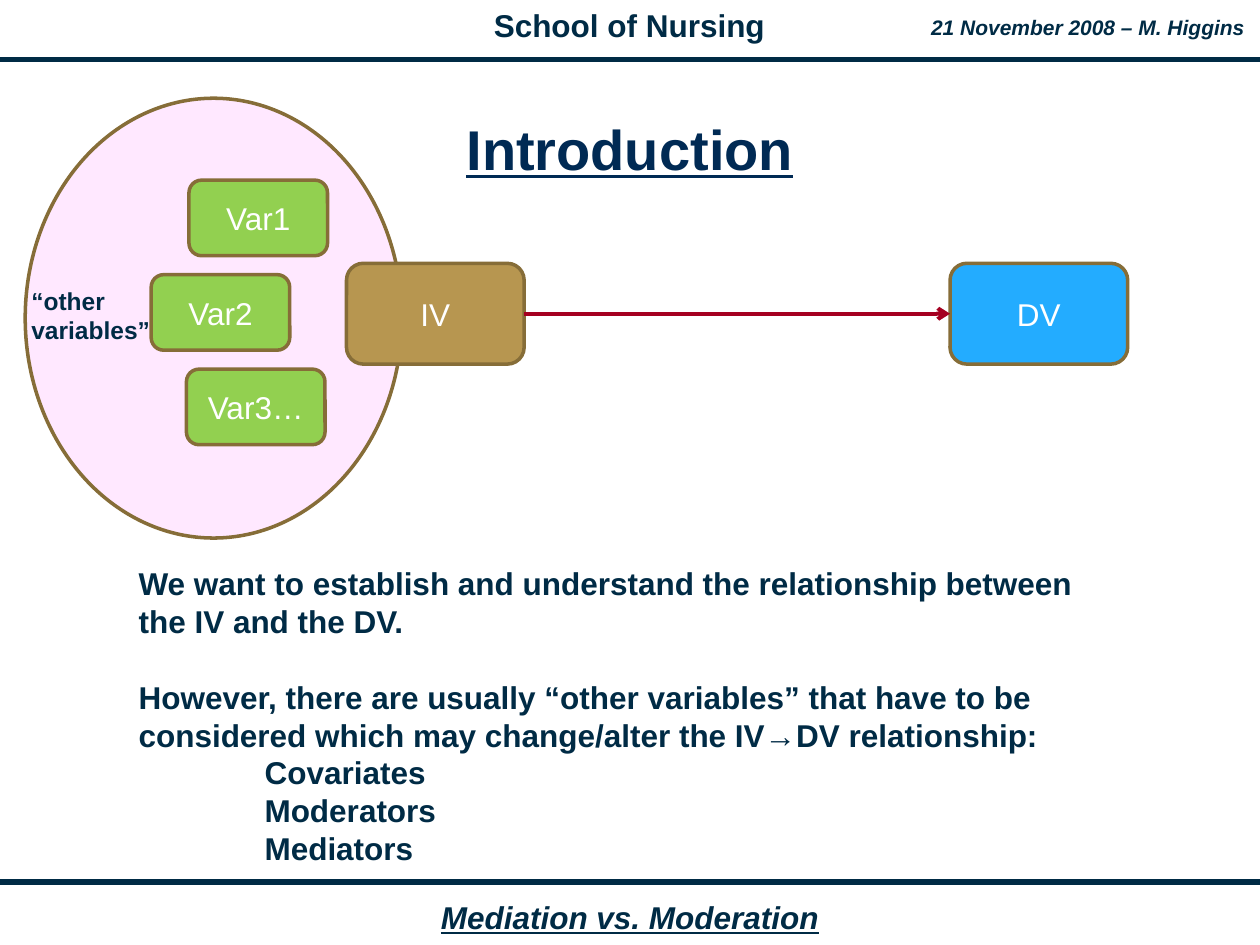
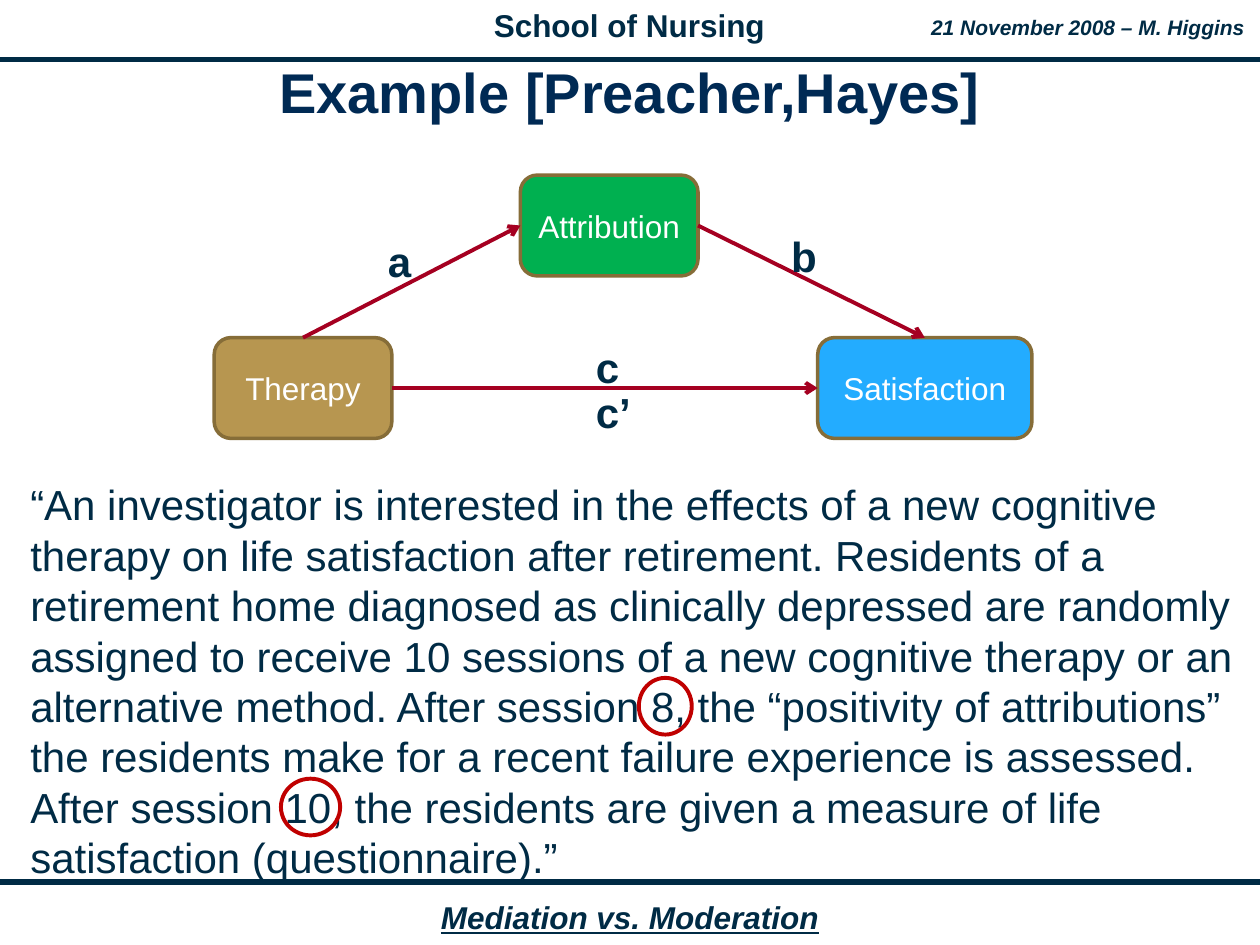
from lxml.etree import SubElement
from pptx import Presentation
from pptx.dml.color import RGBColor
from pptx.enum.shapes import MSO_CONNECTOR, MSO_SHAPE
from pptx.enum.text import MSO_ANCHOR, MSO_AUTO_SIZE, PP_ALIGN
from pptx.oxml.ns import qn
from pptx.util import Inches, Pt

NAVY = RGBColor(0x00, 0x2B, 0x45)
TITLE_BLUE = RGBColor(0x00, 0x2A, 0x54)
WHITE = RGBColor(0xFF, 0xFF, 0xFF)
PINK = RGBColor(0xFF, 0x99, 0xFF)
BROWN = RGBColor(0x86, 0x6D, 0x38)
TAN = RGBColor(0xB7, 0x96, 0x50)
SKY = RGBColor(0x23, 0xAC, 0xFF)
LIME = RGBColor(0x92, 0xD0, 0x50)
GREEN = RGBColor(0x00, 0xB0, 0x50)
CRIMSON = RGBColor(0xA5, 0x00, 0x21)
RED = RGBColor(0xC0, 0x00, 0x00)

# The slide is a grid of 100 columns by 75 rows
COLS, ROWS = 100, 75
CELL = Inches(0.1)
NODE_W, NODE_H = 14.1, 8
VAR_W, VAR_H = 11, 6
LINE_HEIGHT = 1.2
TOP, LEFT, RIGHT = 0, 1, 3  # connection sites of a rounded rectangle


def grid(*cells):
    return [round(c * CELL) for c in cells]


def add_run(p, text, size, color=NAVY, bold=False, italic=False, underline=None):
    r = p.add_run()
    r.text = text
    f = r.font
    f.name, f.size, f.color.rgb = "Arial", Pt(size), color
    f.bold, f.italic, f.underline = bold, italic, underline


def set_body(tf, wrap=True):
    tf.word_wrap = wrap
    tf.auto_size = MSO_AUTO_SIZE.NONE
    tf.margin_left = tf.margin_right = Inches(0.1)
    tf.margin_top = tf.margin_bottom = Inches(0.05)
    tf.vertical_anchor = MSO_ANCHOR.TOP


def add_label(s, text, cells, size, wrap=False, align=PP_ALIGN.LEFT, **style):
    box = s.shapes.add_textbox(*grid(*cells))
    set_body(box.text_frame, wrap)
    p = box.text_frame.paragraphs[0]
    p.alignment = align
    p.line_spacing = Pt(size * LINE_HEIGHT)
    add_run(p, text, size, bold=True, **style)
    return box


def place(shape, cells):
    shape.left, shape.top, shape.width, shape.height = grid(*cells)


def set_title(s, text, cells, underline=None):
    title = s.shapes.title
    place(title, cells)
    tf = title.text_frame
    tf.auto_size = MSO_AUTO_SIZE.NONE
    tf.vertical_anchor = MSO_ANCHOR.MIDDLE
    tf.margin_left = tf.margin_right = tf.margin_top = tf.margin_bottom = Inches(0.05)
    p = tf.paragraphs[0]
    p.alignment = PP_ALIGN.CENTER
    p.line_spacing = 0.85
    add_run(p, text, 32, TITLE_BLUE, bold=True, underline=underline)


def set_text(s, cells, paragraphs, size, bold=False):
    """Fill the body with (text, indent in columns, lines of space before)."""
    body = s.placeholders[1]
    place(body, cells)
    tf = body.text_frame
    set_body(tf)
    for i, (text, indent, gap) in enumerate(paragraphs):
        p = tf.paragraphs[0] if i == 0 else tf.add_paragraph()
        p.alignment = PP_ALIGN.LEFT
        p.line_spacing = Pt(size * LINE_HEIGHT)
        p.space_before = Pt(gap * size * LINE_HEIGHT)
        pPr = p._p.get_or_add_pPr()
        pPr.set("marL", str(indent * CELL))
        pPr.set("indent", "0")
        SubElement(pPr, qn("a:buNone"))
        add_run(p, text, size, bold=bold)


def add_outline(s, kind, cells, color, width):
    shape = s.shapes.add_shape(kind, *grid(*cells))
    shape.shadow.inherit = False
    shape.fill.background()
    shape.line.color.rgb = color
    shape.line.width = Pt(width)
    return shape


def add_node(s, text, cells, fill):
    node = add_outline(s, MSO_SHAPE.ROUNDED_RECTANGLE, cells, BROWN, 2)
    node.fill.solid()
    node.fill.fore_color.rgb = fill
    p = node.text_frame.paragraphs[0]
    p.alignment = PP_ALIGN.CENTER
    add_run(p, text, 18, WHITE)
    return node


def add_line(s, color, width, cells=(0, 0, 0, 0)):
    line = s.shapes.add_connector(MSO_CONNECTOR.STRAIGHT, *grid(*cells))
    line.line.color.rgb = color
    line.line.width = Pt(width)
    SubElement(line.element.spPr, qn("a:effectLst"))
    return line


def add_arrow(s, start, start_site, end, end_site):
    arrow = add_line(s, CRIMSON, 2.25)
    arrow.begin_connect(start, start_site)
    arrow.end_connect(end, end_site)
    ln = arrow.element.spPr.find(qn("a:ln"))
    SubElement(ln, qn("a:tailEnd")).set("type", "arrow")


def add_frame(prs, s):
    """Draw the header and footer, then move them to the slide master."""
    center = PP_ALIGN.CENTER
    parts = [add_line(s, NAVY, 3, (0, y, COLS, y)) for y in (4.7, ROWS - 5)]
    parts += [
        add_label(s, "School of Nursing", (38.2, 0, 23.5, 4), 18, align=center),
        add_label(s, "21 November 2008 – M. Higgins", (72.9, 0.7, 26.9, 3), 12,
                  align=center, italic=True),
        add_label(s, "Mediation vs. Moderation", (34, 70.8, 32, 4), 18,
                  align=center, italic=True, underline=True),
    ]
    for number, part in enumerate(parts, 100):
        part.element.xpath(".//p:cNvPr")[0].set("id", str(number))
        prs.slide_master.shapes.element.append(part.element)


def build_introduction(s):
    # Circle of other variables
    circle = add_outline(s, MSO_SHAPE.OVAL, (2, 7.8, 29.9, 34.9), BROWN, 2)
    circle.fill.solid()
    circle.fill.fore_color.rgb = PINK
    tint = circle.element.spPr.find(qn("a:solidFill"))[0]
    SubElement(tint, qn("a:alpha")).set("val", "22000")

    set_title(s, "Introduction", (2.5, 6.5, 95, 11.3), underline=True)

    # Independent and dependent variable
    iv = add_node(s, "IV", (27.5, 20.9, NODE_W, NODE_H), TAN)
    dv = add_node(s, "DV", (75.4, 20.9, NODE_W, NODE_H), SKY)
    add_arrow(s, iv, RIGHT, dv, LEFT)

    for i, (name, col) in enumerate([("Var1", 15), ("Var2", 12), ("Var3…", 14.8)]):
        add_node(s, name, (col, 14.3 + 7.5 * i, VAR_W, VAR_H), LIME)
    add_label(s, "“other variables”", (1.5, 22.2, 11.9, 5.7), 14, wrap=True)

    set_text(s, (10, 44.3, 77.3, 25), [
        ("We want to establish and understand the relationship between "
         "the IV and the DV.", 0, 0),
        ("However, there are usually “other variables” that have to be considered "
         "which may change/alter the IV→DV relationship:", 0, 1),
        ("Covariates", 10, 0),
        ("Moderators", 10, 0),
        ("Mediators", 10, 0),
    ], 18, bold=True)


def build_example(s):
    set_title(s, "Example [Preacher,Hayes]", (2.5, 4.7, 95, 5.9))

    # Mediation triangle
    therapy = add_node(s, "Therapy", (17, 26.8, NODE_W, NODE_H), TAN)
    satisfaction = add_node(s, "Satisfaction", (64.9, 26.8, 17, NODE_H), SKY)
    attribution = add_node(s, "Attribution", (41.3, 13.9, NODE_W, NODE_H), GREEN)
    add_arrow(s, therapy, TOP, attribution, LEFT)
    add_arrow(s, attribution, RIGHT, satisfaction, TOP)
    add_arrow(s, therapy, RIGHT, satisfaction, LEFT)
    for name, col, row, width in [("c", 46.3, 26.6, 3.8), ("a", 29.8, 18.2, 3.8),
                                  ("b", 61.8, 17.8, 4), ("c’", 46.3, 30.2, 4.8)]:
        add_label(s, name, (col, row, width, 5), 24)

    # Study description with the two session numbers circled
    set_text(s, (1.4, 37.5, 98.6, 33), [
        ("“An investigator is interested in the effects of a new cognitive therapy "
         "on life satisfaction after retirement. Residents of a retirement home "
         "diagnosed as clinically depressed are randomly assigned to receive 10 "
         "sessions of a new cognitive therapy or an alternative method. After "
         "session 8, the “positivity of attributions” the residents make for a "
         "recent failure experience is assessed. After session 10, the residents "
         "are given a measure of life satisfaction (questionnaire).”", 0, 0),
    ], 24)
    for col, row, width in [(50.7, 53.8, 4.2), (22.3, 61.8, 4.7)]:
        add_outline(s, MSO_SHAPE.OVAL, (col, row, width, 4.5), RED, 2.25)


def main():
    prs = Presentation()
    prs.slide_width, prs.slide_height = grid(COLS, ROWS)
    layout = prs.slide_layouts[1]
    for i, build in enumerate((build_introduction, build_example)):
        s = prs.slides.add_slide(layout)
        if i == 0:
            add_frame(prs, s)
        build(s)
    prs.save("out.pptx")


if __name__ == "__main__":
    main()
